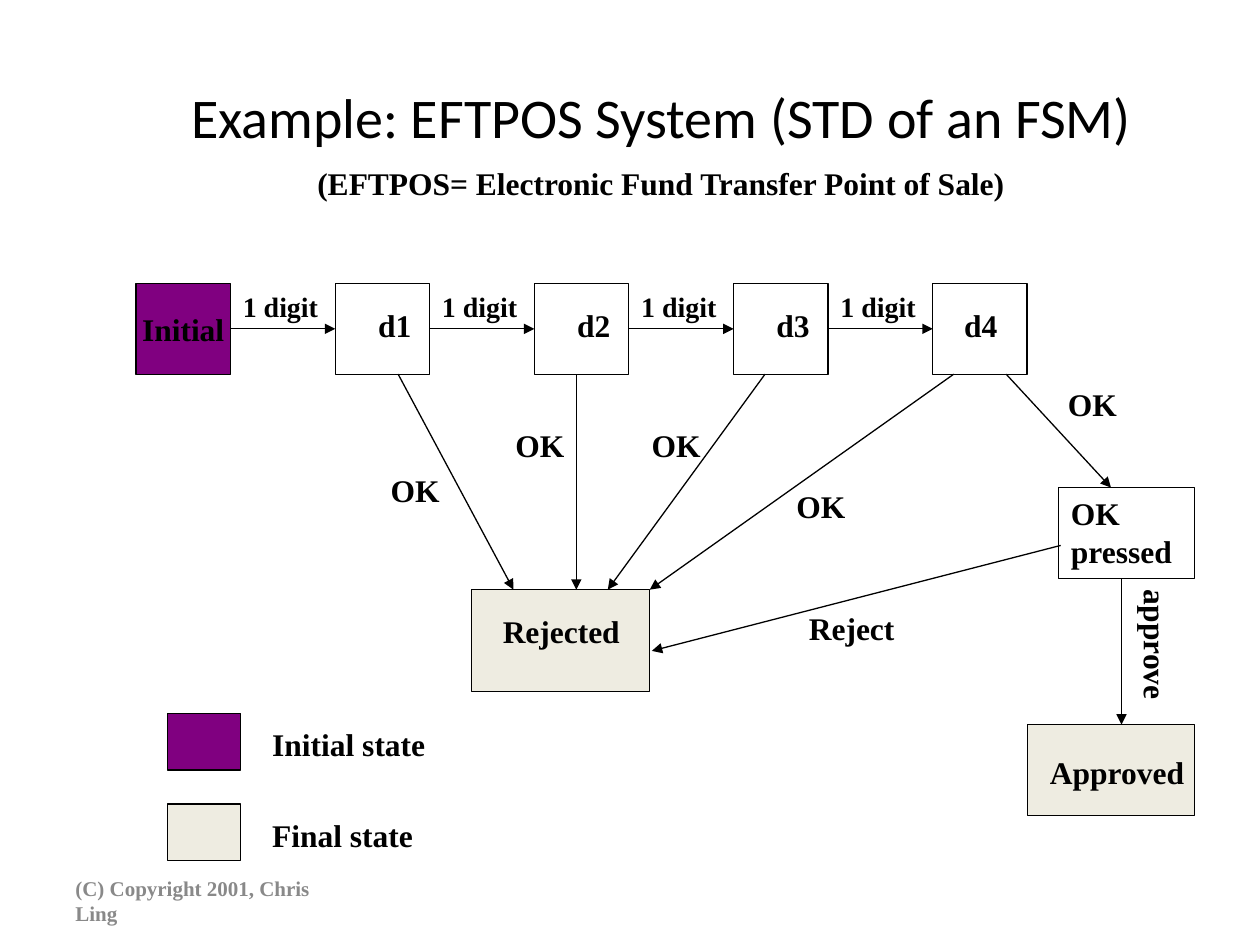
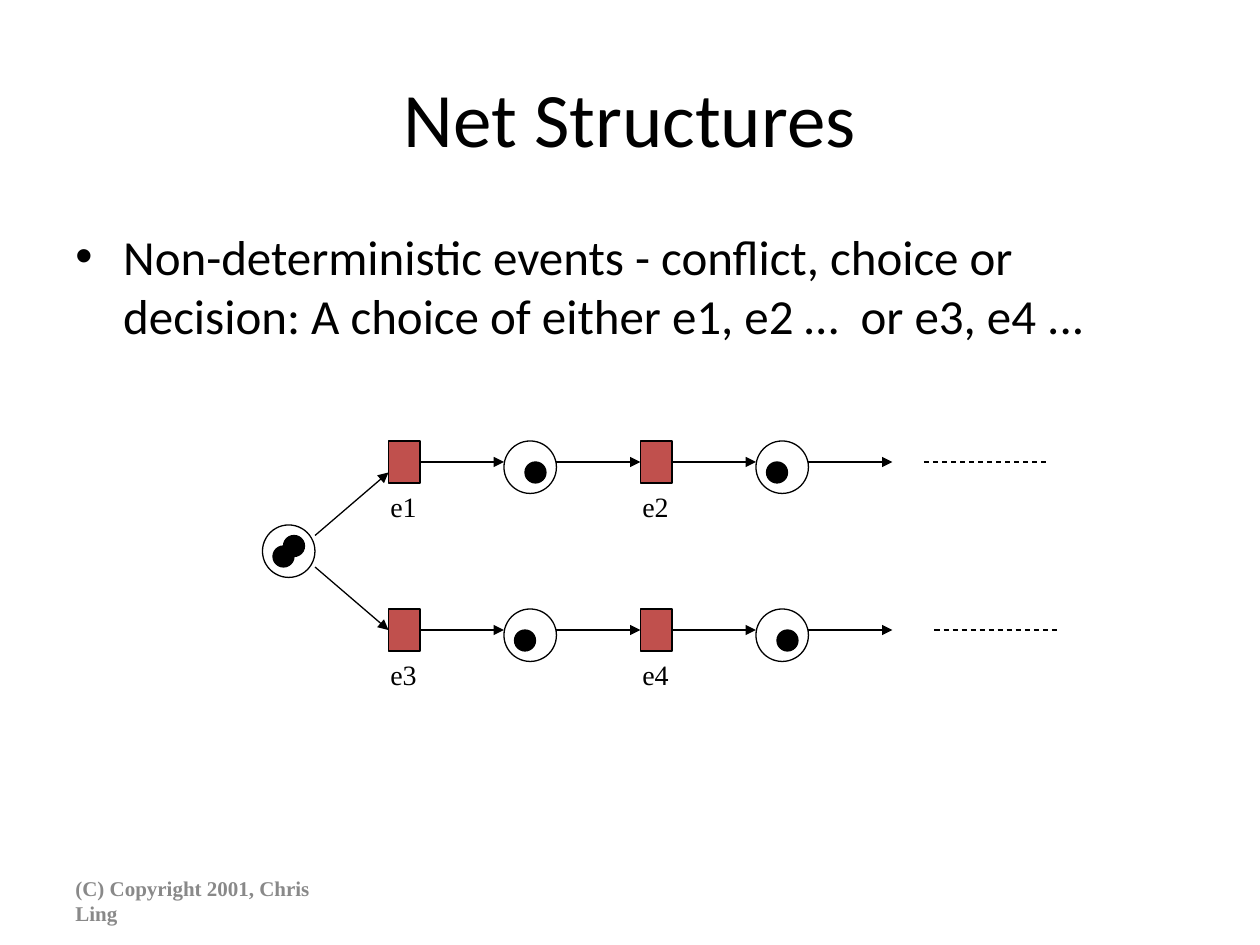
from dataclasses import dataclass

from lxml import etree
from pptx import Presentation, util as u
from pptx.dml.color import RGBColor
from pptx.enum import dml, shapes, text
from pptx.oxml import ns


@dataclass(frozen=True)
class Theme:
    heading: str = "Calibri"
    serif: str = "Times New Roman"
    ink: str = "000000"
    muted: str = "898989"
    initial: str = "800080"
    final: str = "EEECE1"
    transition: str = "C0504D"
    title: int = 44
    small_title: int = 32
    body: int = 28
    label: int = 18
    event: int = 16
    footer: int = 12
    line: float = 0.75


@dataclass(frozen=True)
class Grid:
    left: float
    top: float
    column: float
    row: float

    def point(self, column, row):
        return u.Inches(self.left + column * self.column), u.Inches(self.top + row * self.row)

    def box(self, column, row, width, height):
        return *self.point(column, row), u.Inches(width * self.column), u.Inches(height * self.row)


THEME = Theme()
PAGE = Grid(0, 0, 0.1, 0.075)
STATES = Grid(1.08, 2.25, 0.0832, 0.09)
NET = Grid(25 / 12, 3.5, 1 / 12, 1 / 12)
RECTANGLE = shapes.MSO_SHAPE.RECTANGLE
OVAL = shapes.MSO_SHAPE.OVAL
LEFT, CENTER = text.PP_ALIGN.LEFT, text.PP_ALIGN.CENTER
TOP, MIDDLE = text.MSO_ANCHOR.TOP, text.MSO_ANCHOR.MIDDLE


def color(value):
    return RGBColor.from_string(value)


def write(shape, lines, size, font=THEME.serif, bold=False, ink=THEME.ink,
          align=LEFT, anchor=TOP, wrap=True):
    frame = shape.text_frame
    frame.word_wrap = wrap
    frame.vertical_anchor = anchor
    for index, line in enumerate(lines.split("\n")):
        paragraph = frame.paragraphs[0] if index == 0 else frame.add_paragraph()
        paragraph.alignment = align
        run = paragraph.add_run()
        run.text = line
        run.font.name = font
        run.font.size = u.Pt(size)
        run.font.bold = bold
        run.font.color.rgb = color(ink)


def add_text(slide, box, lines, size, **style):
    shape = slide.shapes.add_textbox(*box)
    write(shape, lines, size, **style)
    return shape


def add_label(slide, box, lines, size=THEME.label, bold=True):
    shape = add_text(slide, box, lines, size, bold=bold, wrap=False)
    shape.text_frame.auto_size = text.MSO_AUTO_SIZE.SHAPE_TO_FIT_TEXT
    return shape


def add_node(slide, kind, box, fill=None):
    shape = slide.shapes.add_shape(kind, *box)
    shape.shadow.inherit = False
    if fill:
        shape.fill.solid()
        shape.fill.fore_color.rgb = color(fill)
    else:
        shape.fill.background()
    shape.line.color.rgb = color(THEME.ink)
    shape.line.width = u.Pt(THEME.line)
    return shape


def add_line(slide, start, end, dashed=False):
    connector = slide.shapes.add_connector(shapes.MSO_CONNECTOR.STRAIGHT, *start, *end)
    connector.line.color.rgb = color(THEME.ink)
    connector.line.width = u.Pt(THEME.line)
    properties = connector._element.spPr
    if dashed:
        connector.line.dash_style = dml.MSO_LINE.DASH
    else:
        outline = properties.find(ns.qn("a:ln"))
        etree.SubElement(outline, ns.qn("a:tailEnd"), type="triangle")
    etree.SubElement(properties, ns.qn("a:effectLst"))


def add_page(presentation, title, box, size):
    slide = presentation.slides.add_slide(presentation.slide_layouts[6])
    add_text(slide, box, title, size, font=THEME.heading, align=CENTER, anchor=MIDDLE)
    add_text(slide, PAGE.box(5, 92.67, 23.3, 5.33), "(C) Copyright 2001, Chris Ling",
             THEME.footer, bold=True, ink=THEME.muted, anchor=MIDDLE)
    return slide


def add_digit_chain(slide, grid):
    pitch, width, height = 19, 9, 8
    label_offsets = (2.9, 2.9, 2.9, 1.8)
    initial = add_node(slide, RECTANGLE, grid.box(0, 0, width, height), THEME.initial)
    write(initial, "Initial", THEME.label, bold=True, align=CENTER, anchor=MIDDLE, wrap=False)
    for index, offset in enumerate(label_offsets, 1):
        left = index * pitch
        gap = left - pitch + width
        add_node(slide, RECTANGLE, grid.box(left, 0, width, height))
        add_label(slide, grid.box(left + offset, 1.44, 6, 4.4), f"d{index}")
        add_line(slide, grid.point(gap, 4), grid.point(left, 4))
        add_label(slide, grid.box(gap, 0, 10, 4.1), "1 digit", THEME.event)


def add_outcomes(slide, grid):
    add_node(slide, RECTANGLE, grid.box(88, 18, 13, 8))
    add_node(slide, RECTANGLE, grid.box(85, 38.9, 16, 8), THEME.final)
    add_node(slide, RECTANGLE, grid.box(32, 27, 17, 9), THEME.final)
    arrows = (
        ((25, 8), (36, 27)), ((42, 8), (42, 27)), ((60, 8), (45, 27)),
        ((78, 8), (49, 27)), ((83, 8), (93, 18)), ((94, 26), (94, 38.9)),
        ((88.2, 23.1), (49.2, 32.4)),
    )
    for start, end in arrows:
        add_line(slide, grid.point(*start), grid.point(*end))
    for column, row in ((23.1, 16), (35, 12), (48, 12), (61.8, 17.4), (87.7, 8.4)):
        add_label(slide, grid.box(column, row, 7.3, 4.4), "OK")
    add_label(slide, grid.box(88, 18, 12.2, 7.8), "OK\npressed")
    add_label(slide, grid.box(33.8, 28.4, 13.8, 4.4), "Rejected")
    add_label(slide, grid.box(63, 28.2, 10.8, 4.4), "Reject")
    add_label(slide, grid.box(86, 40.9, 15.5, 4.4), "Approved")
    add_label(slide, grid.box(90.9, 29.7, 12.9, 4.4), "approve").rotation = 90


def add_legend(slide, grid):
    entries = (("Initial state", THEME.initial), ("Final state", THEME.final))
    for index, (name, fill) in enumerate(entries):
        row = 37.9 + 8 * index
        add_node(slide, RECTANGLE, grid.box(3, row, 7, 5), fill)
        add_label(slide, grid.box(11.8, row + 0.5, 17.2, 4.4), name)


def build_state_diagram(presentation):
    slide = add_page(presentation, "Example: EFTPOS System (STD of an FSM)",
                     PAGE.box(10, 5.6, 85, 13.33), THEME.small_title)
    add_label(slide, PAGE.box(24.2, 16.67, 57, 5.33),
              "(EFTPOS= Electronic Fund Transfer Point of Sale)")
    add_digit_chain(slide, STATES)
    add_outcomes(slide, STATES)
    add_legend(slide, STATES)


def add_bullet(slide, box, line):
    shape = slide.shapes.add_textbox(*box)
    paragraph = shape.text_frame.paragraphs[0]
    properties = paragraph._p.get_or_add_pPr()
    properties.set("marL", str(u.Inches(0.38)))
    properties.set("indent", str(-u.Inches(0.38)))
    etree.SubElement(properties, ns.qn("a:buFont"), typeface="Arial")
    etree.SubElement(properties, ns.qn("a:buChar"), char="•")
    write(shape, line, THEME.body, font=THEME.heading)


def add_place(slide, grid, column, row, tokens):
    add_node(slide, OVAL, grid.box(column, row, 5, 5))
    for across, down in tokens:
        add_node(slide, OVAL, grid.box(column + across, row + down, 2, 2), THEME.ink)


def add_lane(slide, grid, top, events, tokens, dash_start):
    for index, (event, token) in enumerate(zip(events, tokens)):
        left = 12 + 24 * index
        add_node(slide, RECTANGLE, grid.box(left, top, 3, 4), THEME.transition)
        add_label(slide, grid.box(left - 1, top + 4, 5.2, 4.4), event, THEME.event, bold=False)
        add_place(slide, grid, left + 11, top, [token])
        for start, end in ((3, 11), (16, 24)):
            add_line(slide, grid.point(left + start, top + 2), grid.point(left + end, top + 2))
    add_line(slide, grid.point(dash_start, top + 2), grid.point(dash_start + 12, top + 2), dashed=True)


def build_net_structures(presentation):
    slide = add_page(presentation, "Net Structures", PAGE.box(5, 4, 90, 16.67), THEME.title)
    add_bullet(slide, PAGE.box(5, 23.33, 90, 66),
               "Non-deterministic events - conflict, choice or decision: "
               "A choice of either e1, e2 …  or e3, e4 ...")
    add_place(slide, NET, 0, 8, [(1, 2), (2, 1)])
    add_line(slide, NET.point(5, 9), NET.point(12, 3))
    add_line(slide, NET.point(5, 12), NET.point(12, 18))
    add_lane(slide, NET, 0, ("e1", "e2"), ((2, 2), (1, 2)), 63)
    add_lane(slide, NET, 16, ("e3", "e4"), ((1, 2), (2, 2)), 64)


def main():
    presentation = Presentation()
    presentation.slide_width, presentation.slide_height = u.Inches(10), u.Inches(7.5)
    build_state_diagram(presentation)
    build_net_structures(presentation)
    presentation.save("out.pptx")


if __name__ == "__main__":
    main()
